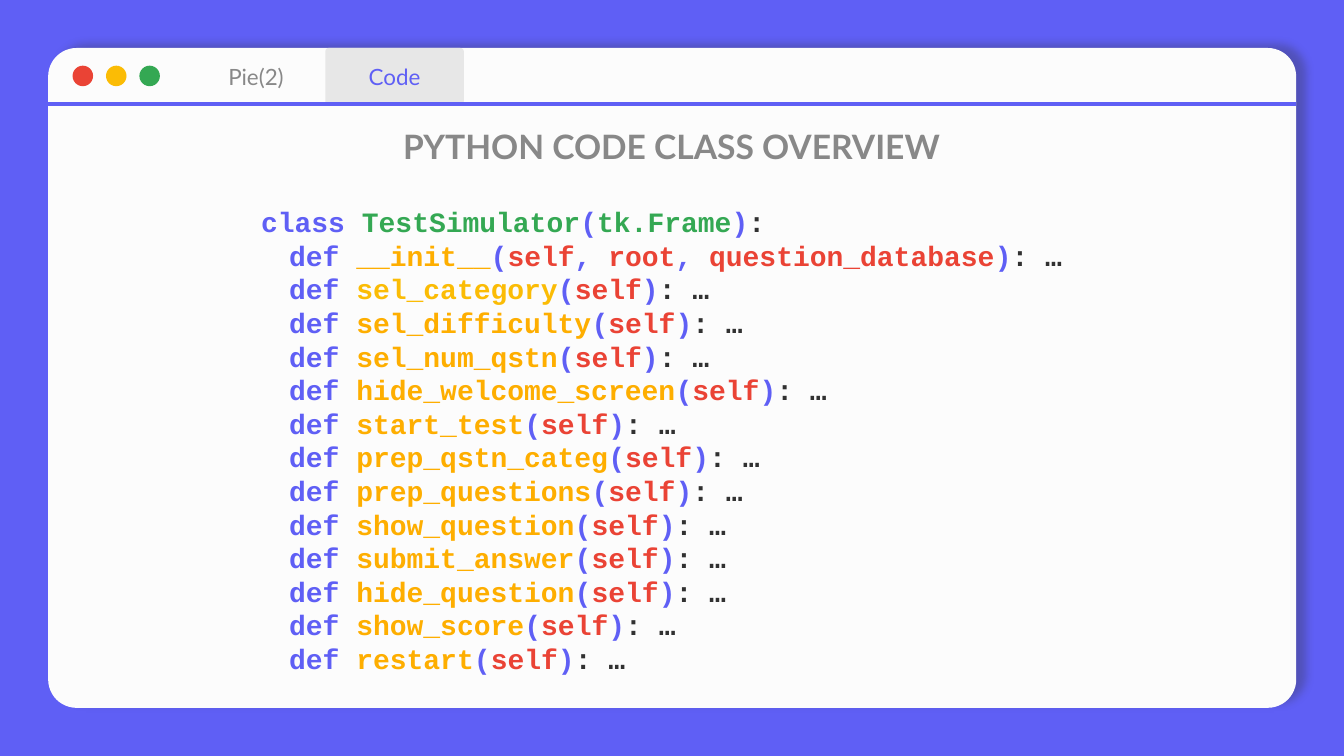
from typing import NamedTuple

from lxml.etree import SubElement
from pptx import Presentation
from pptx.dml.color import RGBColor
from pptx.enum.shapes import MSO_CONNECTOR, MSO_SHAPE
from pptx.enum.text import MSO_ANCHOR, MSO_AUTO_SIZE, PP_ALIGN
from pptx.oxml.ns import qn
from pptx.util import Pt

COLORS = {
    "accent": "5F5FF5", "card": "FCFCFC", "tab": "E7E7E7", "grey": "888888",
    "ink": "313131", "green": "34A853", "yellow": "FBBC05",
    "red": "EA4335", "orange": "FEAE00",
}
CARD_X, CARD_Y, CARD_W, CARD_H = 25.8, 25.7, 668.6, 353.5
TAB_W, TAB_H = 74.2, 30.2
DOT_SIZE, DOT_STEP = 11, 17.9
EM = 15


class Tab(NamedTuple):
    label: str
    x: float
    color: str
    fill: str | None


class Method(NamedTuple):
    name: str
    args: tuple[str, ...] = ("self",)
    color: str = "orange"


class Span(NamedTuple):
    text: str
    color: str


TABS = [Tab("Code", 174.3, "accent", "tab"), Tab("Pie(2)", 100.1, "grey", None)]
DOTS = ["red", "yellow", "green"]
CLASS_LINE = [
    Span("class ", "accent"), Span("TestSimulator", "green"), Span("(", "accent"),
    Span("tk.Frame", "green"), Span(")", "accent"), Span(":", "ink"),
]
METHODS = [
    Method("__init__", ("self", "root", "question_database")),
    Method("sel_category", color="yellow"),
    *map(Method, (
        "sel_difficulty", "sel_num_qstn", "hide_welcome_screen", "start_test",
        "prep_qstn_categ", "prep_questions", "show_question", "submit_answer",
        "hide_question", "show_score", "restart",
    )),
]


def rgb(name: str) -> RGBColor:
    return RGBColor.from_string(COLORS[name])


def add_text(p, text: str, *, color: str, size: float, font: str = "Lato",
             bold: bool = False) -> None:
    r = p.add_run()
    r.text = text
    r.font.name, r.font.size, r.font.bold = font, Pt(size), bold
    r.font.color.rgb = rgb(color)


def add_shape(shapes, kind, x: float, y: float, w: float, h: float,
              fill: str | None = None):
    sp = shapes.add_shape(kind, Pt(x), Pt(y), Pt(w), Pt(h))
    sp.shadow.inherit = False
    sp.line.fill.background()
    if fill:
        sp.fill.solid()
        sp.fill.fore_color.rgb = rgb(fill)
    else:
        sp.fill.background()
    return sp


def add_card(s) -> None:
    sp = add_shape(s.shapes, MSO_SHAPE.ROUNDED_RECTANGLE,
                   CARD_X, CARD_Y, CARD_W, CARD_H, "card")
    sp.adjustments[0] = 0.043
    effects = sp._element.spPr.find(qn("a:effectLst"))
    shadow = SubElement(effects, qn("a:outerShdw"), blurRad=str(Pt(4.5)),
                        dist=str(Pt(6)), dir=str(342 * 60000),
                        algn="bl", rotWithShape="0")
    color = SubElement(shadow, qn("a:srgbClr"), val=COLORS["ink"])
    SubElement(color, qn("a:alpha"), val="30000")


def add_tab(s, tab: Tab) -> None:
    sp = add_shape(s.shapes, MSO_SHAPE.ROUNDED_RECTANGLE,
                   tab.x, CARD_Y, TAB_W, TAB_H, tab.fill)
    sp.adjustments[0] = 0.06
    tf = sp.text_frame
    tf.margin_left = tf.margin_top = tf.margin_right = tf.margin_bottom = 0
    tf.vertical_anchor = MSO_ANCHOR.MIDDLE
    tf.paragraphs[0].alignment = PP_ALIGN.CENTER
    add_text(tf.paragraphs[0], tab.label, color=tab.color, size=12)


def add_window_dots(s) -> None:
    group = s.shapes.add_group_shape()
    for i, color in enumerate(DOTS):
        add_shape(group.shapes, MSO_SHAPE.OVAL, 38.9 + i * DOT_STEP, 35.2,
                  DOT_SIZE, DOT_SIZE, color)


def add_divider(s) -> None:
    y = Pt(CARD_Y + TAB_H)
    line = s.shapes.add_connector(MSO_CONNECTOR.STRAIGHT, Pt(CARD_X), y,
                                  Pt(CARD_X + CARD_W), y)
    line.line.color.rgb = rgb("accent")
    line.line.width = Pt(2.25)
    SubElement(line._element.spPr, qn("a:effectLst"))


def place(s, sp, x: float, y: float, w: float, h: float, anchor):
    """Move a placeholder in front of the window and return its text frame."""
    s.shapes._spTree.append(sp._element)
    sp.left, sp.top, sp.width, sp.height = Pt(x), Pt(y), Pt(w), Pt(h)
    tf = sp.text_frame
    tf.margin_left = tf.margin_top = tf.margin_right = tf.margin_bottom = Pt(7.2)
    tf.word_wrap, tf.auto_size = True, MSO_AUTO_SIZE.NONE
    tf.vertical_anchor = anchor
    return tf


def method_line(method: Method) -> list[Span]:
    spans = [Span("def ", "accent"), Span(method.name, method.color),
             Span("(", "accent")]
    for i, arg in enumerate(method.args):
        if i:
            spans.append(Span(", ", "accent"))
        spans.append(Span(arg, "red"))
    return spans + [Span(")", "accent"), Span(": …", "ink")]


def add_code_line(p, spans: list[Span], indent: float) -> None:
    p.line_spacing, p.space_before = Pt(18), Pt(0)
    pPr = p._p.get_or_add_pPr()
    pPr.set("marL", str(Pt(indent)))
    pPr.set("indent", "0")
    SubElement(pPr, qn("a:buNone"))
    for span in spans:
        add_text(p, span.text, color=span.color, size=EM,
                 font="Courier New", bold=True)


def main() -> None:
    prs = Presentation()
    prs.slide_width, prs.slide_height = Pt(720), Pt(405)
    s = prs.slides.add_slide(prs.slide_layouts[1])
    s.background.fill.solid()
    s.background.fill.fore_color.rgb = rgb("accent")

    add_card(s)
    for tab in TABS:
        add_tab(s, tab)
    add_window_dots(s)
    add_divider(s)

    tf = place(s, s.shapes.title, 187.3, 62, 345, 34.5, MSO_ANCHOR.BOTTOM)
    tf.paragraphs[0].alignment = PP_ALIGN.CENTER
    add_text(tf.paragraphs[0], "PYTHON CODE CLASS OVERVIEW",
             color="grey", size=18, bold=True)

    tf = place(s, s.placeholders[1], 132.7, 102.5, 455.8, 262.8, MSO_ANCHOR.TOP)
    add_code_line(tf.paragraphs[0], CLASS_LINE, indent=0)
    for method in METHODS:
        add_code_line(tf.add_paragraph(), method_line(method), indent=EM)

    prs.save("out.pptx")


if __name__ == "__main__":
    main()
